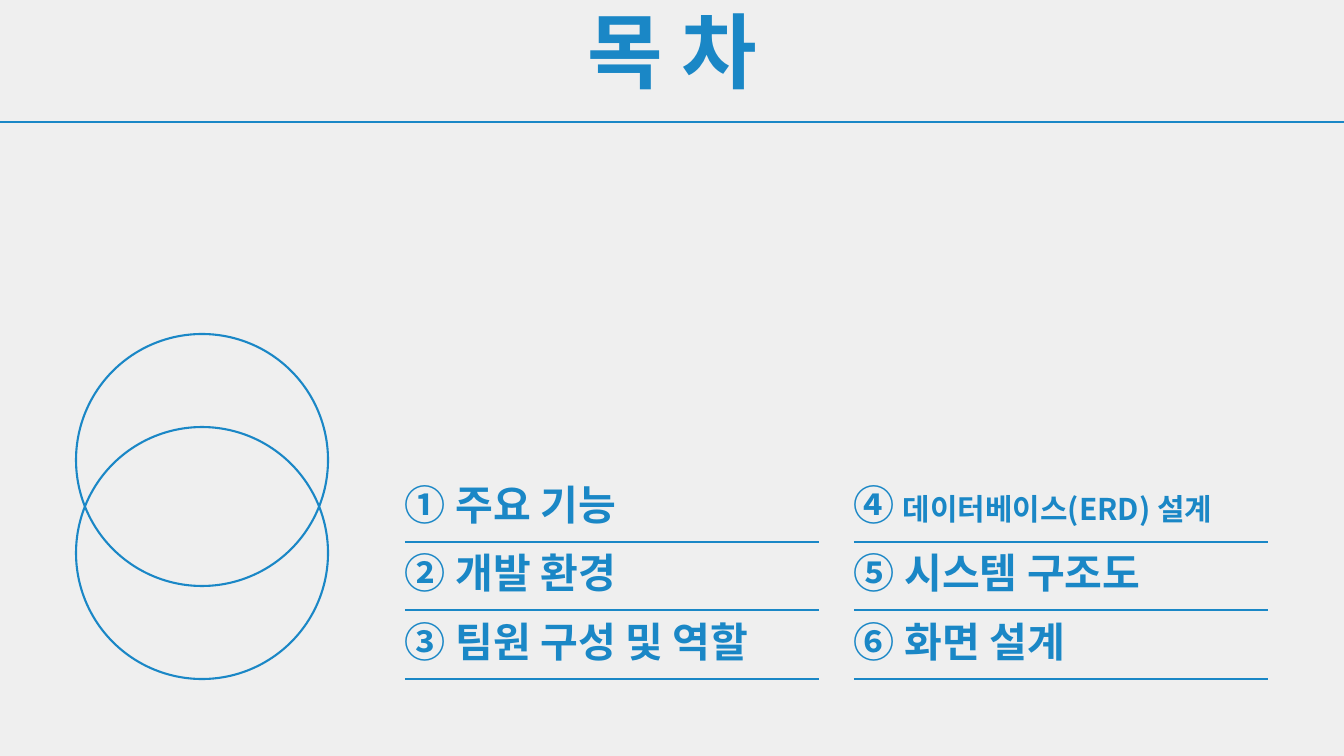
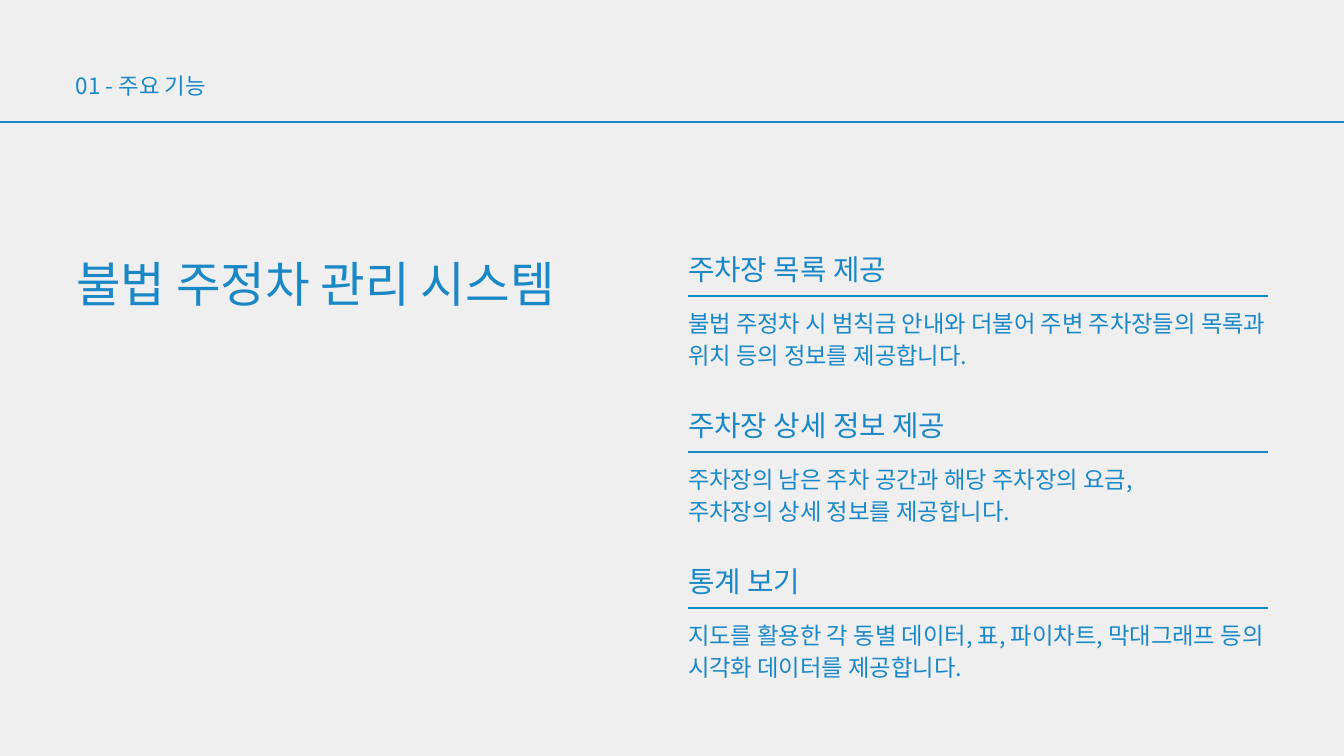
"""Build the contents slide and the main features slide."""
from lxml import etree
from pptx import Presentation
from pptx import util as u
from pptx.dml.color import RGBColor
from pptx.enum import shapes, text
from pptx.oxml.ns import qn

PX = 914400 / 67.2
WIDE, HIGH = 1344, 756
LEFT, RIGHT = 76, 1268
FONT = "Noto Sans CJK KR"
HUES = {"blue": "1A87C6", "back": "EFEFEF"}
ALIGN = text.PP_ALIGN

TOPICS = [
    ["① 주요 기능", "② 개발 환경", "③ 팀원 구성 및 역할"],
    ["④", "⑤ 시스템 구조도", "⑥ 화면 설계"],
]
FEATURES = [
    ("주차장 목록 제공",
     ["불법 주정차 시 범칙금 안내와 더불어 주변 주차장들의 목록과 위치 등의 정보를 제공합니다."]),
    ("주차장 상세 정보 제공",
     ["주차장의 남은 주차 공간과 해당 주차장의 요금,", "주차장의 상세 정보를 제공합니다."]),
    ("통계 보기",
     ["지도를 활용한 각 동별 데이터, 표, 파이차트, 막대그래프 등의 시각화 데이터를 제공합니다."]),
]


def emu(*sizes):
    """Turn px lengths into EMU."""
    return [u.Emu(round(size * PX)) for size in sizes]


def hue(name):
    """Look up a colour by name."""
    return RGBColor.from_string(HUES[name])


def style(run, size, bold):
    """Give a run its font, size and colour."""
    font = run.font
    font.size, font.bold, font.name = u.Pt(size), bold, FONT
    font.color.rgb = hue("blue")
    etree.SubElement(font._element, qn("a:ea")).set("typeface", FONT)


def write(slide, box, lines, size, pitch, bold=False, align=None):
    """Add a text box with one paragraph per line and return its frame."""
    frame = slide.shapes.add_textbox(*emu(*box)).text_frame
    frame.margin_left = frame.margin_right = 0
    frame.margin_top = frame.margin_bottom = 0
    frame.word_wrap = True
    frame.auto_size = text.MSO_AUTO_SIZE.SHAPE_TO_FIT_TEXT
    frame.text = "\n".join(lines)
    for para in frame.paragraphs:
        para.line_spacing = u.Pt(pitch)
        para.alignment = align
        for run in para.runs:
            style(run, size, bold)
    return frame


def append(frame, words, size):
    """Add a bold run to the first paragraph."""
    run = frame.paragraphs[0].add_run()
    run.text = words
    style(run, size, True)


def rule(slide, left, right, top):
    """Draw a level blue line."""
    line = slide.shapes.add_connector(
        shapes.MSO_CONNECTOR.STRAIGHT, *emu(left, top, right, top))
    line.line.color.rgb = hue("blue")
    line.line.width = u.Pt(2.25)
    etree.SubElement(line._element.spPr, qn("a:effectLst"))


def ring(slide, left, top, size):
    """Draw an unfilled circle."""
    oval = slide.shapes.add_shape(
        shapes.MSO_SHAPE.OVAL, *emu(left, top, size, size))
    oval.shadow.inherit = False
    oval.fill.background()
    oval.line.color.rgb = hue("blue")
    oval.line.width = u.Pt(2.25)


def start(deck):
    """Add a slide with the shared background and header line."""
    slide = deck.slides.add_slide(deck.slide_layouts[6])
    fill = slide.background.fill
    fill.solid()
    fill.fore_color.rgb = hue("back")
    rule(slide, 0, WIDE, 122)
    return slide


def topic(slide, left, base, label):
    """Add one contents entry above its line."""
    rule(slide, left, left + 414, base)
    return write(slide, (left, base - 55, 448, 42), [label], 44, 44.8, True)


def contents(deck):
    """Build the contents slide."""
    slide = start(deck)
    for top in (334, 427):
        ring(slide, LEFT, top, 252)
    frames = [topic(slide, left, 542 + row * 137 // 2, label)
              for left, labels in zip((405, 854), TOPICS)
              for row, label in enumerate(labels)]
    fourth = frames[3]
    append(fourth, " ", 36)
    append(fourth, "데이터베이스(ERD) 설계", 32)
    write(slide, (540, 72, 265, 41), ["목 차"], 88, 29.4, True, ALIGN.CENTER)


def feature(slide, base, head, body):
    """Add a feature heading, its line and its description."""
    left = 688
    width = RIGHT - left
    rule(slide, left, RIGHT, base)
    write(slide, (left, base - 50, width, 38), [head], 30.8, 43.1,
          align=ALIGN.JUSTIFY)
    write(slide, (left, base + 8, width, 63), body, 25, 35)


def features(deck):
    """Build the main features slide."""
    slide = start(deck)
    write(slide, (LEFT, 72, 265, 26), ["01 - 주요 기능"], 24, 29.4)
    write(slide, (LEFT, 244, 586, 64), ["불법 주정차 관리 시스템"], 52, 72.8)
    for row, (head, body) in enumerate(FEATURES):
        feature(slide, 296 + row * 156, head, body)


def main():
    """Build and save the deck."""
    deck = Presentation()
    deck.slide_width, deck.slide_height = emu(WIDE, HIGH)
    contents(deck)
    features(deck)
    deck.save("out.pptx")


if __name__ == "__main__":
    main()
